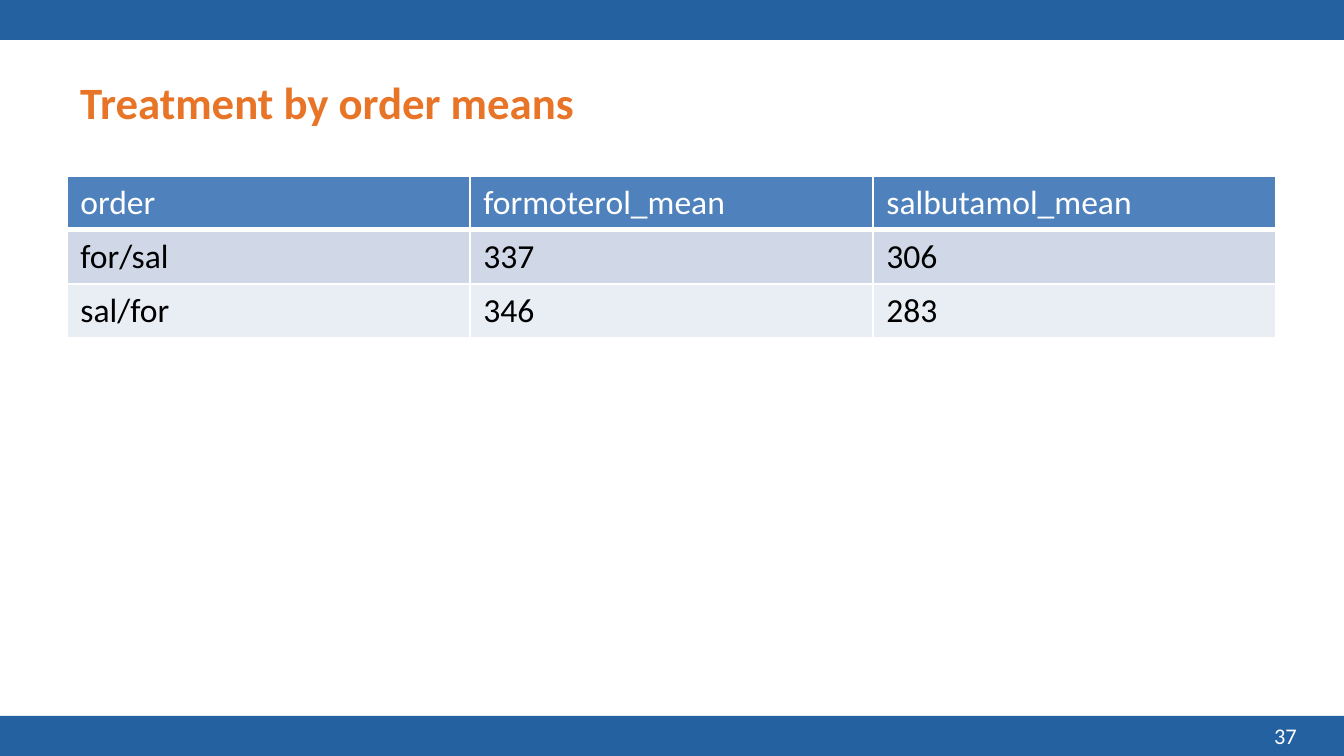
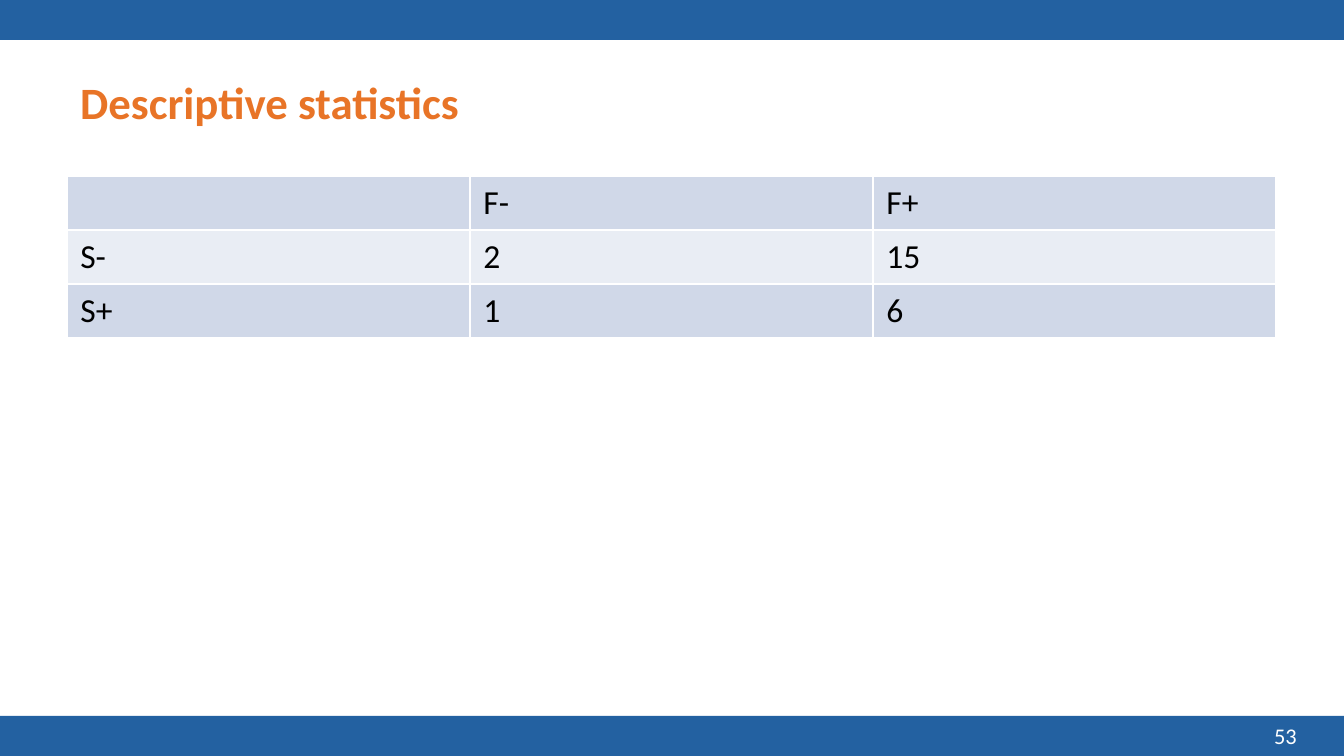
import pptx
import pptx.util
import pptx.dml.color
import pptx.enum.shapes
import pptx.enum.text
import pptx.oxml
import pptx.oxml.ns

PX = 9144000 / 1344
WIDTH, HEIGHT = 1344, 756
BAND = 40
MARGIN = 67
COLUMN, ROW = 403, 54
FONT = "Calibri"
COLORS = {
    "band": "2361A1",
    "title": "E87427",
    "header": "4F81BD",
    "dark_row": "D0D8E8",
    "light_row": "E9EDF4",
    "white": "FFFFFF",
    "text": "000000",
}

SLIDES = [
    {
        "title": "Treatment by order means",
        "number": "37",
        "has_header": True,
        "rows": [
            ["order", "formoterol_mean", "salbutamol_mean"],
            ["for/sal", "337", "306"],
            ["sal/for", "346", "283"],
        ],
    },
    {
        "title": "Descriptive statistics",
        "number": "53",
        "has_header": False,
        "rows": [["", "F-", "F+"], ["S-", "2", "15"], ["S+", "1", "6"]],
    },
]


def px(*lengths):
    return [pptx.util.Emu(round(length * PX)) for length in lengths]


def write(frame, text, size, color, bold=False):
    frame.word_wrap = True
    frame.text = text
    for run in frame.paragraphs[0].runs:
        run.font.name = FONT
        run.font.size = pptx.util.Pt(size)
        run.font.bold = bold
        run.font.color.rgb = pptx.dml.color.RGBColor.from_string(COLORS[color])


deck = pptx.Presentation()
deck.slide_width, deck.slide_height = px(WIDTH, HEIGHT)

for content in SLIDES:
    slide = deck.slides.add_slide(deck.slide_layouts[6])

    # Bands along the top and bottom edges
    for top in (0, HEIGHT - BAND):
        band = slide.shapes.add_shape(
            pptx.enum.shapes.MSO_SHAPE.RECTANGLE, *px(0, top, WIDTH, BAND))
        band.shadow.inherit = False
        band.fill.solid()
        band.fill.fore_color.rgb = pptx.dml.color.RGBColor.from_string(COLORS["band"])
        band.line.fill.background()

    # Title
    title = slide.shapes.add_textbox(*px(MARGIN, 39, 3 * COLUMN, 126)).text_frame
    write(title, content["title"], 24, "title", bold=True)
    title.vertical_anchor = pptx.enum.text.MSO_ANCHOR.MIDDLE

    # Table of results
    rows = content["rows"]
    results = slide.shapes.add_table(
        len(rows), len(rows[0]),
        *px(MARGIN, 176, COLUMN * len(rows[0]), ROW * len(rows))).table
    results.first_row = content["has_header"]
    for r, values in enumerate(rows):
        is_header = content["has_header"] and r == 0
        if is_header:
            fill = "header"
        else:
            fill = ("dark_row", "light_row")[(r - content["has_header"]) % 2]
        for c, value in enumerate(values):
            cell = results.cell(r, c)
            write(cell.text_frame, value, 18, "white" if is_header else "text")

            # Cell borders, heavier below and above the header's lower edge
            below_header = content["has_header"] and r == 1
            points = {"L": 1, "R": 1, "T": 3 if below_header else 1,
                      "B": 3 if is_header else 1}
            properties = cell._tc.get_or_add_tcPr()
            for side, width in points.items():
                properties.append(pptx.oxml.parse_xml(
                    f'<a:ln{side} {pptx.oxml.ns.nsdecls("a")} w="{pptx.util.Pt(width)}">'
                    f'<a:solidFill><a:srgbClr val="{COLORS["white"]}"/></a:solidFill>'
                    f'</a:ln{side}>'))
            cell.fill.solid()
            cell.fill.fore_color.rgb = pptx.dml.color.RGBColor.from_string(COLORS[fill])

    # Slide number
    number = slide.shapes.add_textbox(*px(997, HEIGHT - BAND, 313, BAND)).text_frame
    write(number, content["number"], 12, "white")
    number.vertical_anchor = pptx.enum.text.MSO_ANCHOR.MIDDLE
    number.paragraphs[0].alignment = pptx.enum.text.PP_ALIGN.RIGHT

deck.save("out.pptx")
